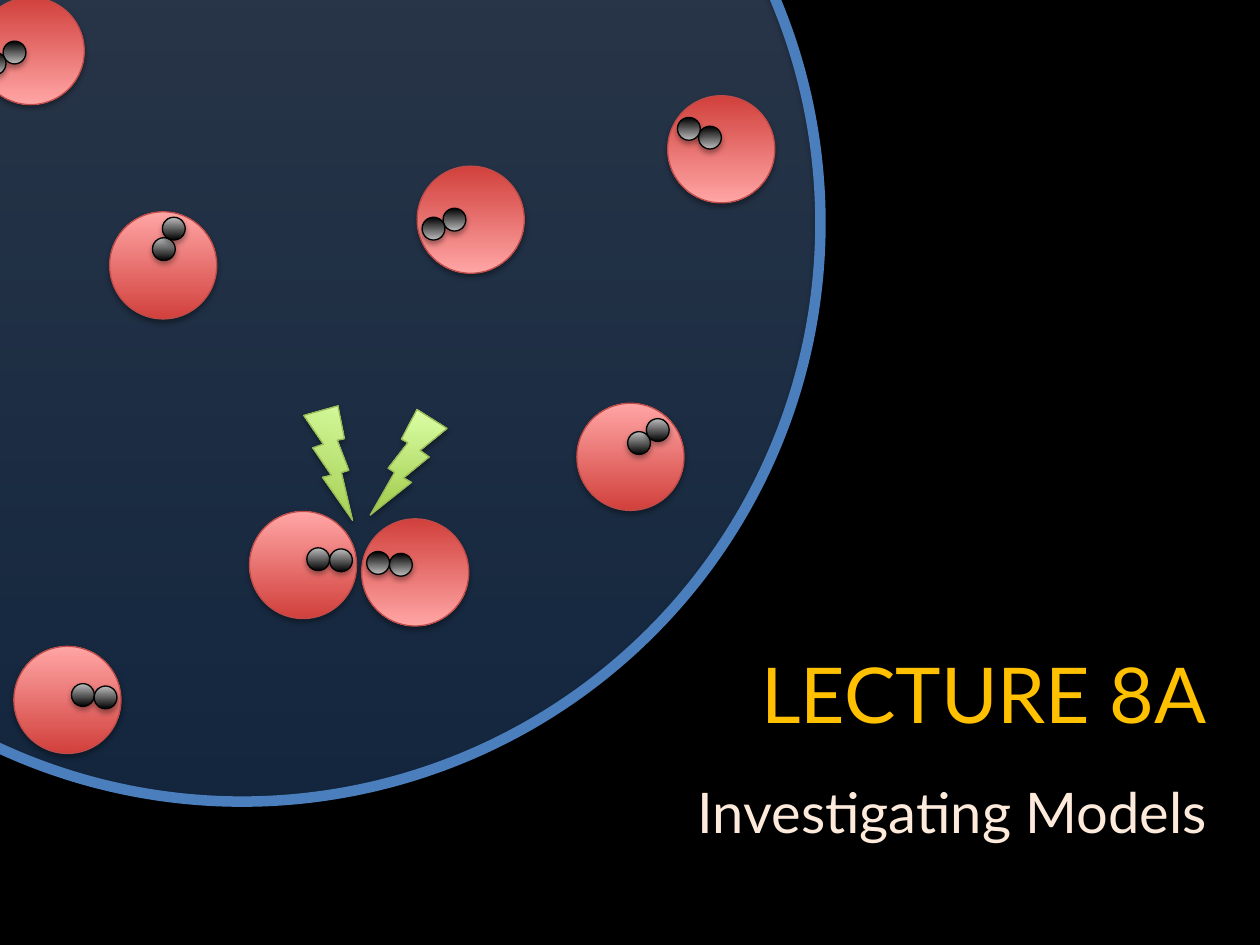
import math

import lxml.etree
import pptx
import pptx.dml.color
import pptx.enum.shapes
import pptx.enum.text
import pptx.oxml.ns
import pptx.util

Cm, Pt = pptx.util.Cm, pptx.util.Pt
Kind = pptx.enum.shapes.MSO_SHAPE

# Content: all lengths in centimetres, angles in degrees
TITLE = "LECTURE 8A"
TOPIC = "Investigating Models"
DISH = (4.88, 4.5, 23.32)  # centre x, centre y, diameter
CELLS = [  # centre x, centre y, turn, mirrored
    (0.62, 1.03, -28.7, True),
    (9.49, 4.43, -23.2, True),
    (6.11, 11.39, 2.7, False),
    (3.29, 5.35, -64.1, False),
    (1.36, 14.11, 6, False),
    (12.71, 9.21, -34.7, False),
    (14.54, 3.01, 22.6, True),
    (8.37, 11.54, 4.7, True),
]
CELL, ATOM = 2.16, 0.46
PAIR = [(0.3, -0.13), (0.76, -0.13)]  # atom offsets inside an unturned cell
BOLTS = [(6.67, 9.25, 16.6, False), (8.24, 9.32, 0, True)]
BOLT = (1.55, 2.13)

THEME = {
    "font": "Lato",
    "back": "000000",
    "title": ("FFC000", 44),
    "topic": ("FDEADA", 32),
    "dish": ("3F80CE", "A4C4FF", "4B7EBC"),  # low, high, line
    "cell": ("D1403C", "FFA6A5", "BF4C48"),
    "atom": ("000000", "BDBDBD", "000000"),
    "bolt": ("A0CA4A", "DAFFA5", "98B955"),
    "thin": 0.75,
    "rim": 6,
}


def tint(code):
    return pptx.dml.color.RGBColor.from_string(code)


def node(home, tag, **attrs):
    item = lxml.etree.SubElement(home, pptx.oxml.ns.qn(tag))
    for key, val in attrs.items():
        item.set(key, str(val))
    return item


def shade(shape):
    """Give the shape a soft shadow straight below it."""
    shape.shadow.inherit = False
    glow = shape._element.spPr.find(pptx.oxml.ns.qn("a:effectLst"))
    cast = node(glow, "a:outerShdw", blurRad=Pt(3.1), dist=Pt(1.8),
                dir=90 * 60000, rotWithShape=0)
    hue = node(cast, "a:srgbClr", val="000000")
    node(hue, "a:alpha", val=35000)


def draw(kind, x, y, wide, high, look, width=THEME["thin"],
         fill=True, down=False, alpha=None):
    """Draw a shape centred on x, y; down puts the light end lowest."""
    shape = slide.shapes.add_shape(
        kind, Cm(x - wide / 2), Cm(y - high / 2), Cm(wide), Cm(high))
    low, top, edge = THEME[look]
    if fill:
        shape.fill.gradient()
        shape.fill.gradient_angle = 270 if down else 90
        for stop, code in zip(shape.fill.gradient_stops, (low, top)):
            stop.color.rgb = tint(code)
        if alpha:
            for hue in shape._element.spPr.iter(pptx.oxml.ns.qn("a:srgbClr")):
                node(hue, "a:alpha", val=alpha * 1000)
    else:
        shape.fill.background()
    shape.line.color.rgb = tint(edge)
    shape.line.width = Pt(width)
    shade(shape)
    return shape


def disc(x, y, size, look, **form):
    return draw(Kind.OVAL, x, y, size, size, look, **form)


def write(para, text, color, size, gap=0):
    para.alignment = pptx.enum.text.PP_ALIGN.RIGHT
    para.space_before = Pt(gap)
    run = para.add_run()
    run.text = text
    run.font.name = THEME["font"]
    run.font.size = Pt(size)
    run.font.color.rgb = tint(color)


deck = pptx.Presentation()
deck.slide_width, deck.slide_height = Cm(25.4), Cm(19.05)
slide = deck.slides.add_slide(deck.slide_layouts[6])
slide.background.fill.solid()
slide.background.fill.fore_color.rgb = tint(THEME["back"])

# Title and topic
box = slide.shapes.add_textbox(Cm(0), Cm(11.02), Cm(24.59), Cm(8.03))
frame = box.text_frame
frame.word_wrap = True
frame.vertical_anchor = pptx.enum.text.MSO_ANCHOR.MIDDLE
write(frame.paragraphs[0], TITLE, *THEME["title"])
write(frame.add_paragraph(), TOPIC, *THEME["topic"], gap=22)

# Dish: a clear disc under a thick rim
disc(*DISH, "dish", alpha=29)
disc(*DISH, "dish", width=THEME["rim"], fill=False)

# Cells, each with a pair of atoms turned about its centre
for x, y, turn, flip in CELLS:
    disc(x, y, CELL, "cell", down=flip)
    cos, sin = math.cos(math.radians(turn)), math.sin(math.radians(turn))
    for dx, dy in PAIR:
        dx = -dx if flip else dx
        disc(x + dx * cos - dy * sin, y + dx * sin + dy * cos,
             ATOM, "atom", down=flip)

# Bolts above the two cells that meet
for x, y, turn, flip in BOLTS:
    bolt = draw(Kind.LIGHTNING_BOLT, x, y, *BOLT, "bolt")
    bolt.rotation = turn
    if flip:
        bolt._element.spPr.get_or_add_xfrm().set("flipH", "1")

deck.save("out.pptx")
